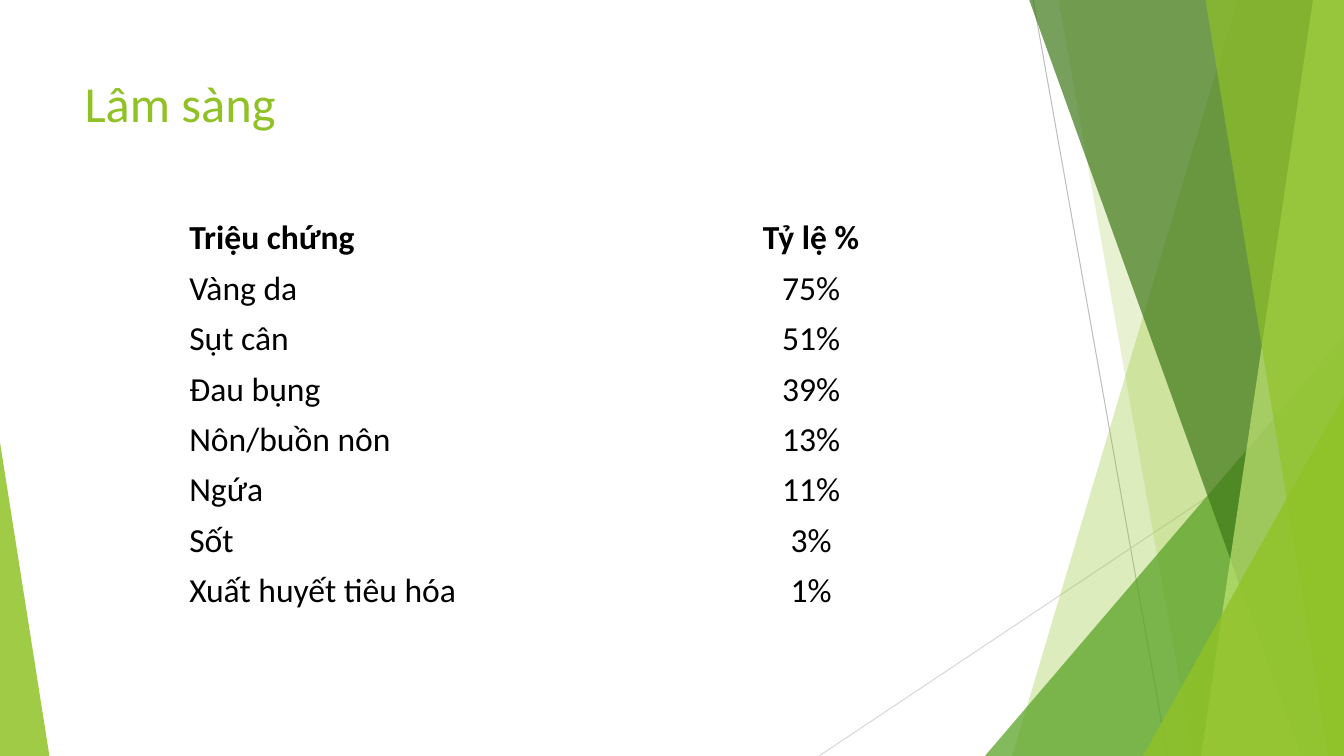
from dataclasses import dataclass

from lxml import etree
from pptx import Presentation
from pptx.dml.color import RGBColor
from pptx.enum.shapes import MSO_CONNECTOR, MSO_SHAPE
from pptx.enum.text import MSO_ANCHOR, PP_ALIGN
from pptx.oxml.ns import qn
from pptx.util import Pt

STRAIGHT = MSO_CONNECTOR.STRAIGHT
TRIANGLE = MSO_SHAPE.ISOSCELES_TRIANGLE
TOP = MSO_ANCHOR.TOP
LEFT, CENTER = PP_ALIGN.LEFT, PP_ALIGN.CENTER

SLIDE_W, SLIDE_H = 960, 540
RIBBON_TOP = -0.6  # ribbons start just above the slide


@dataclass(frozen=True)
class Theme:
    font: str = "Calibri"
    title_size: int = 36
    table_size: int = 24
    text: str = "000000"
    lime: str = "90C226"
    pale_lime: str = "C0E474"
    green: str = "54A021"
    dark_green: str = "3F7819"
    line_dark: str = "BFBFBF"
    line_light: str = "D9D9D9"


THEME = Theme()

SYMPTOMS = [
    ("Triệu chứng", "Tỷ lệ %"),
    ("Vàng da", "75%"),
    ("Sụt cân", "51%"),
    ("Đau bụng", "39%"),
    ("Nôn/buồn nôn", "13%"),
    ("Ngứa", "11%"),
    ("Sốt", "3%"),
    ("Xuất huyết tiêu hóa", "1%"),
]


def paint(shape, color, opacity):
    """Give a shape a translucent fill with no outline or shadow."""
    shape.shadow.inherit = False
    shape.line.fill.background()
    shape.fill.solid()
    shape.fill.fore_color.rgb = RGBColor.from_string(color)
    rgb = shape.fill._xPr.find(".//" + qn("a:srgbClr"))
    etree.SubElement(rgb, qn("a:alpha"), val=str(opacity * 1000))


def add_hairline(slide, start, end, color):
    hairline = slide.shapes.add_connector(
        STRAIGHT, *(Pt(value) for value in start + end))
    hairline.line.color.rgb = RGBColor.from_string(color)
    hairline.line.width = Pt(0.75)
    etree.SubElement(hairline._element.spPr, qn("a:effectLst"))


def add_ribbon(slide, top_x, bottom_x, color, opacity):
    """Fill from a slanted left edge to the right side of the slide."""
    corners = [(SLIDE_W, RIBBON_TOP), (SLIDE_W, SLIDE_H), (bottom_x, SLIDE_H)]
    builder = slide.shapes.build_freeform(Pt(top_x), Pt(RIBBON_TOP))
    builder.add_line_segments([(Pt(x), Pt(y)) for x, y in corners])
    paint(builder.convert_to_shape(), color, opacity)


def add_corner(slide, left, top, width, apex, color, opacity):
    """Stand a triangle on the bottom edge of the slide."""
    corner = slide.shapes.add_shape(
        TRIANGLE, Pt(left), Pt(top), Pt(width), Pt(SLIDE_H - top))
    corner.adjustments[0] = apex
    paint(corner, color, opacity)


def style_paragraph(paragraph, size, color, bold=False, align=LEFT):
    paragraph.alignment = align
    paragraph.font.name = THEME.font
    paragraph.font.size = Pt(size)
    paragraph.font.bold = bold
    paragraph.font.color.rgb = RGBColor.from_string(color)


def add_title(slide, title):
    frame = slide.shapes.add_textbox(
        Pt(53.3), Pt(48), Pt(677), Pt(104)).text_frame
    frame.word_wrap = True
    frame.vertical_anchor = TOP
    frame.text = title
    style_paragraph(frame.paragraphs[0], THEME.title_size, THEME.lime)


def add_symptom_table(slide, rows):
    widths = (376, 150.7)
    table = slide.shapes.add_table(
        len(rows), len(widths), Pt(128), Pt(152),
        Pt(sum(widths)), Pt(29.5 * len(rows))).table
    table.first_row = table.horz_banding = False
    for column, width in zip(table.columns, widths):
        column.width = Pt(width)
    for row_index, row in enumerate(rows):
        for col_index, (content, align) in enumerate(zip(row, (LEFT, CENTER))):
            cell = table.cell(row_index, col_index)
            cell.fill.background()
            cell.text = content
            style_paragraph(cell.text_frame.paragraphs[0], THEME.table_size,
                            THEME.text, bold=row_index == 0, align=align)


def add_decoration(slide):
    # Thin crossing lines
    add_hairline(slide, (738, 0), (834, SLIDE_H), THEME.line_dark)
    add_hairline(slide, (SLIDE_W, 290), (585, SLIDE_H), THEME.line_light)

    # Overlapping ribbons and corners on the right, back to front
    add_ribbon(slide, 884, 723, THEME.lime, 30)
    add_ribbon(slide, 756, 852, THEME.lime, 20)
    add_corner(slide, 703.5, 240, 256.5, 1, THEME.green, 72)
    add_ribbon(slide, 735, 929.5, THEME.dark_green, 70)
    add_ribbon(slide, 938, 858, THEME.pale_lime, 70)
    add_ribbon(slide, 861, 949, THEME.lime, 65)
    add_corner(slide, 816.5, 283, 143.5, 1, THEME.lime, 80)

    # Corner on the left
    add_corner(slide, 0, 316, 35.3, 0, THEME.lime, 85)


def main():
    deck = Presentation()
    deck.slide_width, deck.slide_height = Pt(SLIDE_W), Pt(SLIDE_H)
    slide = deck.slides.add_slide(deck.slide_layouts[6])
    add_decoration(slide)
    add_title(slide, "Lâm sàng")
    add_symptom_table(slide, SYMPTOMS)
    deck.save("out.pptx")


if __name__ == "__main__":
    main()
